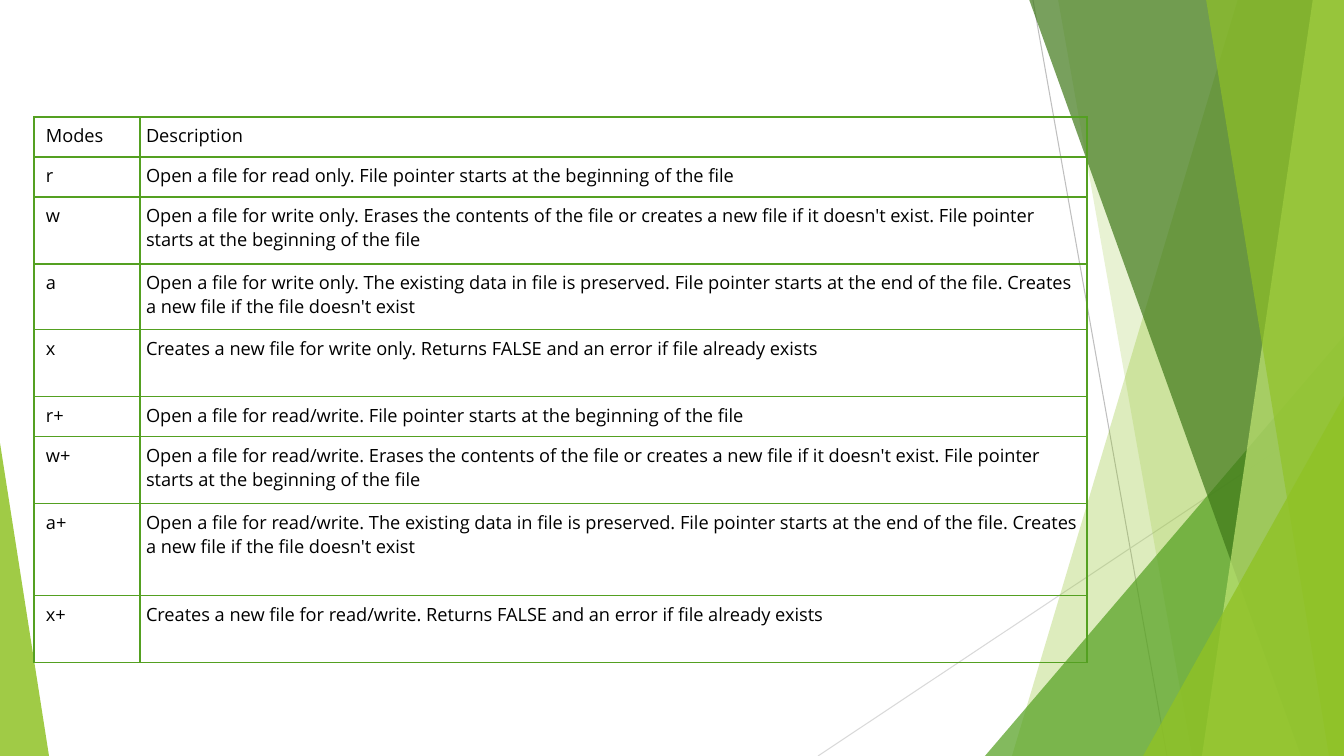
from lxml import etree
from pptx import Presentation, util as u
from pptx.dml.color import RGBColor
from pptx.enum import shapes, text
from pptx.oxml import ns

PX = 914400 / 100.8
WIDTH, HEIGHT = 1344, 756
BAND_TOP = -1

COLORS = {
    "lime": "90C226", "green": "54A021", "forest": "3F7819", "pale": "C0E474",
    "gray": "BFBFBF", "silver": "D9D9D9", "ink": "000000",
}

MODES = [
    ("Modes", "Description"),
    ("r", "Open a file for read only. File pointer starts at the beginning of the file"),
    ("w", "Open a file for write only. Erases the contents of the file or creates a new file "
          "if it doesn't exist. File pointer starts at the beginning of the file"),
    ("a", "Open a file for write only. The existing data in file is preserved. File pointer "
          "starts at the end of the file. Creates a new file if the file doesn't exist"),
    ("x", "Creates a new file for write only. Returns FALSE and an error if file already exists"),
    ("r+", "Open a file for read/write. File pointer starts at the beginning of the file"),
    ("w+", "Open a file for read/write. Erases the contents of the file or creates a new file "
           "if it doesn't exist. File pointer starts at the beginning of the file"),
    ("a+", "Open a file for read/write. The existing data in file is preserved. File pointer "
           "starts at the end of the file. Creates a new file if the file doesn't exist"),
    ("x+", "Creates a new file for read/write. Returns FALSE and an error if file already exists"),
]
COLUMN_EDGES = [34, 140, 1087]
ROW_EDGES = [117, 157, 197, 264, 330, 397, 437, 504, 596, 663]
LEFT_INSETS = [12, 6]
INSET = 6
CELL_FONT = {"name": "Open Sans", "size": u.Pt(13), "bold": False}
TABLE_FLAGS = {"first_row": False, "horz_banding": False}

# Start x, y, end x, y, color
RAYS = [(1033, 0, 1167, HEIGHT, "gray"), (WIDTH, 406, 818, HEIGHT, "silver")]

# Bands: top x, bottom x. Wedges: left, top, width, apex side (0 left, 1 right).
FACETS = [
    ("band", (1238, 1012), "lime", 30),
    ("band", (1058, 1192), "lime", 20),
    ("wedge", (985, 336, 359, 1), "green", 72),
    ("band", (1029, 1301), "forest", 70),
    ("band", (1313, 1202), "pale", 70),
    ("band", (1206, 1329), "lime", 65),
    ("wedge", (1143, 396, 201, 1), "lime", 80),
    ("wedge", (0, 443, 49, 0), "lime", 85),
]


def px(length):
    """Turn pixels into EMU."""
    return u.Emu(round(length * PX))


def rgb(name):
    """Look up a color by name."""
    return RGBColor.from_string(COLORS[name])


def add_ray(slide, x1, y1, x2, y2, color):
    """Draw a thin straight line without shadow."""
    ray = slide.shapes.add_connector(
        shapes.MSO_CONNECTOR.STRAIGHT, px(x1), px(y1), px(x2), px(y2))
    ray.line.color.rgb = rgb(color)
    ray.line.width = u.Pt(0.75)
    etree.SubElement(ray._element.spPr, ns.qn("a:effectLst"))


def add_band(slide, top_x, bottom_x):
    """Build a full-height band that reaches the right slide edge."""
    outline = slide.shapes.build_freeform(top_x, BAND_TOP, scale=PX)
    outline.add_line_segments(
        [(WIDTH, BAND_TOP), (WIDTH, HEIGHT), (bottom_x, HEIGHT)], close=True)
    return outline.convert_to_shape()


def add_wedge(slide, left, top, width, apex):
    """Add a triangle standing on the bottom slide edge."""
    wedge = slide.shapes.add_shape(
        shapes.MSO_SHAPE.ISOSCELES_TRIANGLE, px(left), px(top), px(width), px(HEIGHT - top))
    wedge.adjustments[0] = apex
    return wedge


def paint(facet, color, opacity):
    """Give a facet a translucent fill and no outline."""
    facet.shadow.inherit = False
    facet.line.fill.background()
    facet.fill.solid()
    facet.fill.fore_color.rgb = rgb(color)
    tint = facet._element.spPr.find(".//" + ns.qn("a:srgbClr"))
    etree.SubElement(tint, ns.qn("a:alpha"), val=str(opacity * 1000))


def add_borders(cell, color):
    """Draw a one-point line on all four sides of a cell."""
    properties = cell._tc.get_or_add_tcPr()
    for index, side in enumerate("LRTB"):
        border = etree.Element(ns.qn("a:ln" + side), w=str(u.Pt(1)))
        fill = etree.SubElement(border, ns.qn("a:solidFill"))
        etree.SubElement(fill, ns.qn("a:srgbClr"), val=COLORS[color])
        properties.insert(index, border)


def fill_cell(cell, wording, left_inset):
    """Write and format one table cell."""
    cell.text = wording
    cell.fill.background()
    layout = {
        "margin_left": px(left_inset), "margin_right": px(INSET),
        "margin_top": px(INSET), "margin_bottom": px(INSET),
        "vertical_anchor": text.MSO_ANCHOR.TOP,
    }
    for key, value in layout.items():
        setattr(cell, key, value)
    font = cell.text_frame.paragraphs[0].runs[0].font
    for key, value in CELL_FONT.items():
        setattr(font, key, value)
    font.color.rgb = rgb("ink")
    add_borders(cell, "green")


def add_modes(slide):
    """Add the table of file modes."""
    left, top = COLUMN_EDGES[0], ROW_EDGES[0]
    modes = slide.shapes.add_table(
        len(MODES), len(MODES[0]), px(left), px(top),
        px(COLUMN_EDGES[-1] - left), px(ROW_EDGES[-1] - top)).table
    for key, value in TABLE_FLAGS.items():
        setattr(modes, key, value)
    for column, start, end in zip(modes.columns, COLUMN_EDGES, COLUMN_EDGES[1:]):
        column.width = px(end - start)
    for row, start, end in zip(modes.rows, ROW_EDGES, ROW_EDGES[1:]):
        row.height = px(end - start)
    for row, wordings in zip(modes.rows, MODES):
        for cell, wording, inset in zip(row.cells, wordings, LEFT_INSETS):
            fill_cell(cell, wording, inset)


def main():
    """Build and save the slide."""
    deck = Presentation()
    deck.slide_width, deck.slide_height = px(WIDTH), px(HEIGHT)
    slide = deck.slides.add_slide(deck.slide_layouts[6])
    for ray in RAYS:
        add_ray(slide, *ray)
    builders = {"band": add_band, "wedge": add_wedge}
    for kind, place, color, opacity in FACETS:
        paint(builders[kind](slide, *place), color, opacity)
    add_modes(slide)
    deck.save("out.pptx")


main()
